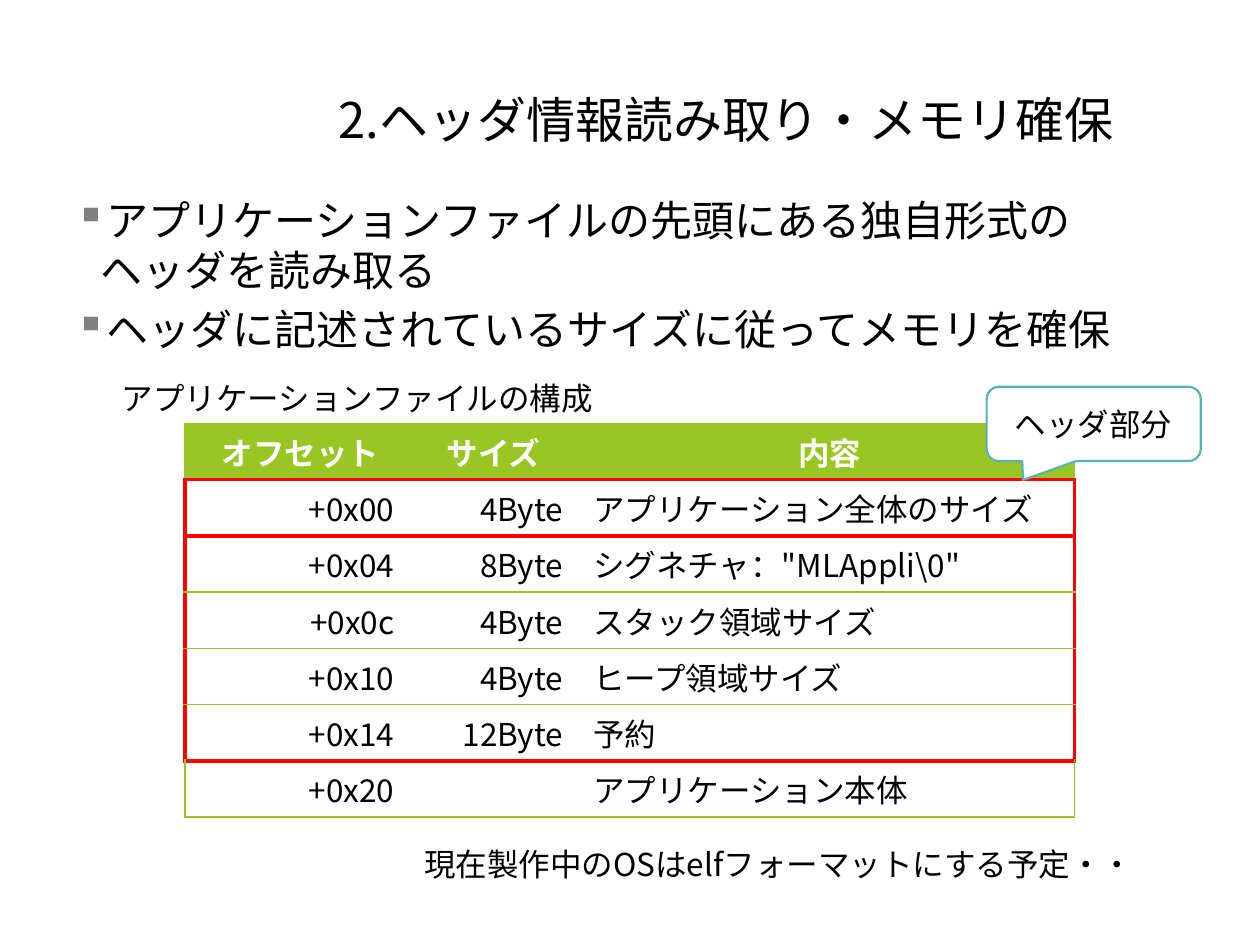
"""Build the slide on reading the application header and allocating memory."""
from lxml.etree import SubElement
from pptx import Presentation
from pptx.dml.color import RGBColor
from pptx.enum.shapes import MSO_SHAPE as Shape
from pptx.enum.text import MSO_ANCHOR as Anchor, PP_ALIGN as Align
from pptx.oxml.ns import qn
from pptx.util import Pt

FONT = "Noto Sans CJK JP"
COLORS = {
    "text": "000000",
    "paper": "FFFFFF",
    "green": "98C723",
    "red": "FF0000",
    "teal": "59B0B9",
    "bullet": "808080",
}
BULLETS = [
    "アプリケーションファイルの先頭にある独自形式のヘッダを読み取る",
    "ヘッダに記述されているサイズに従ってメモリを確保",
]
ROWS = [
    ("オフセット", "サイズ", "内容"),
    ("+0x00", "4Byte", "アプリケーション全体のサイズ"),
    ("+0x04", "8Byte", "シグネチャ：\"MLAppli\\0\""),
    ("+0x0c", "4Byte", "スタック領域サイズ"),
    ("+0x10", "4Byte", "ヒープ領域サイズ"),
    ("+0x14", "12Byte", "予約"),
    ("+0x20", "", "アプリケーション本体"),
]
COLUMN_WIDTHS = (124.5, 96.5, 287.3)
COLUMN_ALIGNS = (Align.RIGHT, Align.RIGHT, Align.JUSTIFY)
ROW_HEIGHT = 32.15
HEADER_ROWS = range(1, 6)
RED_RULES = (1, 2, 6)


def rgb(name):
    return RGBColor.from_string(COLORS[name])


def format_paragraph(paragraph, size, align=Align.LEFT, color="text", bold=False):
    paragraph.alignment = align
    font = paragraph.font
    font.name, font.size, font.bold = FONT, Pt(size), bold
    font.color.rgb = rgb(color)
    SubElement(font._element, qn("a:ea"), typeface=FONT)


def set_indent(paragraph, left, first=0):
    properties = paragraph._p.get_or_add_pPr()
    properties.set("marL", str(Pt(left)))
    properties.set("indent", str(Pt(first)))
    return properties


def add_title(slide, text):
    title = slide.shapes.title
    title.left, title.top, title.width, title.height = Pt(42.5), Pt(36), Pt(601), Pt(64)
    title.text_frame.text = text
    title.text_frame.vertical_anchor = Anchor.MIDDLE
    format_paragraph(title.text_frame.paragraphs[0], 28, Align.RIGHT)


def add_bullets(slide, items, left, top, width, height):
    frame = slide.shapes.add_textbox(Pt(left), Pt(top), Pt(width), Pt(height)).text_frame
    frame.word_wrap = True
    frame.vertical_anchor = Anchor.MIDDLE
    frame.text = "\n".join(items)
    for paragraph in frame.paragraphs:
        paragraph.space_before = Pt(4.8)
        properties = set_indent(paragraph, 14.4, -14.4)
        bullet_color = SubElement(properties, qn("a:buClr"))
        SubElement(bullet_color, qn("a:srgbClr"), val=COLORS["bullet"])
        SubElement(properties, qn("a:buChar"), char="▪")
        format_paragraph(paragraph, 24)


def add_note(slide, text, left, top, width):
    frame = slide.shapes.add_textbox(Pt(left), Pt(top), Pt(width), Pt(29)).text_frame
    frame.word_wrap = True
    frame.text = text
    format_paragraph(frame.paragraphs[0], 18)


def add_border(cell, side, color=None):
    width = 2.25 if color == "red" else 1
    border = SubElement(cell._tc.get_or_add_tcPr(), qn(f"a:ln{side}"), w=str(Pt(width)))
    if color:
        fill = SubElement(border, qn("a:solidFill"))
        SubElement(fill, qn("a:srgbClr"), val=COLORS[color])
    else:
        SubElement(border, qn("a:noFill"))


def format_cell(cell, row, column):
    is_heading = row == 0
    outline = "red" if row in HEADER_ROWS else "green"
    add_border(cell, "L", outline if column == 0 else None)
    add_border(cell, "R", outline if column == len(COLUMN_WIDTHS) - 1 else None)
    for side, rule in (("T", row), ("B", row + 1)):
        add_border(cell, side, "red" if rule in RED_RULES else "green")
    cell.fill.solid()
    cell.fill.fore_color.rgb = rgb("green" if is_heading else "paper")
    cell.vertical_anchor = Anchor.MIDDLE
    cell.margin_left = cell.margin_right = Pt(5)
    cell.margin_top = cell.margin_bottom = 0
    paragraph = cell.text_frame.paragraphs[0]
    set_indent(paragraph, 7.2)
    paragraph.space_before = paragraph.space_after = Pt(3)
    align = Align.CENTER if is_heading else COLUMN_ALIGNS[column]
    format_paragraph(paragraph, 18, align, "paper" if is_heading else "text", is_heading)


def add_layout_table(slide, left, top):
    table = slide.shapes.add_table(
        len(ROWS), len(COLUMN_WIDTHS), Pt(left), Pt(top),
        Pt(sum(COLUMN_WIDTHS)), Pt(ROW_HEIGHT * len(ROWS)),
    ).table
    table.horz_banding = False
    for column, width in zip(table.columns, COLUMN_WIDTHS):
        column.width = Pt(width)
    for row, texts in enumerate(ROWS):
        table.rows[row].height = Pt(ROW_HEIGHT)
        for column, text in enumerate(texts):
            cell = table.cell(row, column)
            cell.text = text
            format_cell(cell, row, column)


def add_callout(slide, text, left, top, width, height):
    callout = slide.shapes.add_shape(
        Shape.ROUNDED_RECTANGULAR_CALLOUT, Pt(left), Pt(top), Pt(width), Pt(height)
    )
    callout.shadow.inherit = False
    for index, value in enumerate((-0.33, 0.755, 0.167)):
        callout.adjustments[index] = value
    callout.fill.solid()
    callout.fill.fore_color.rgb = rgb("paper")
    callout.line.color.rgb = rgb("teal")
    callout.line.width = Pt(1.25)
    callout.text_frame.text = text
    callout.text_frame.vertical_anchor = Anchor.MIDDLE
    format_paragraph(callout.text_frame.paragraphs[0], 18, Align.CENTER)


def main():
    deck = Presentation()
    deck.slide_width, deck.slide_height = Pt(720), Pt(540)
    slide = deck.slides.add_slide(deck.slide_layouts[5])
    add_title(slide, "2.ヘッダ情報読み取り・メモリ確保")
    add_bullets(slide, BULLETS, 36, 105, 608, 103)
    add_layout_table(slide, 105.8, 241.9)
    add_note(slide, "アプリケーションファイルの構成", 62.6, 213, 294.5)
    add_note(slide, "現在製作中のOSはelfフォーマットにする予定・・", 235.4, 479.5, 436.3)
    add_callout(slide, "ヘッダ部分", 563.8, 221, 122.4, 42.5)
    deck.save("out.pptx")


if __name__ == "__main__":
    main()
